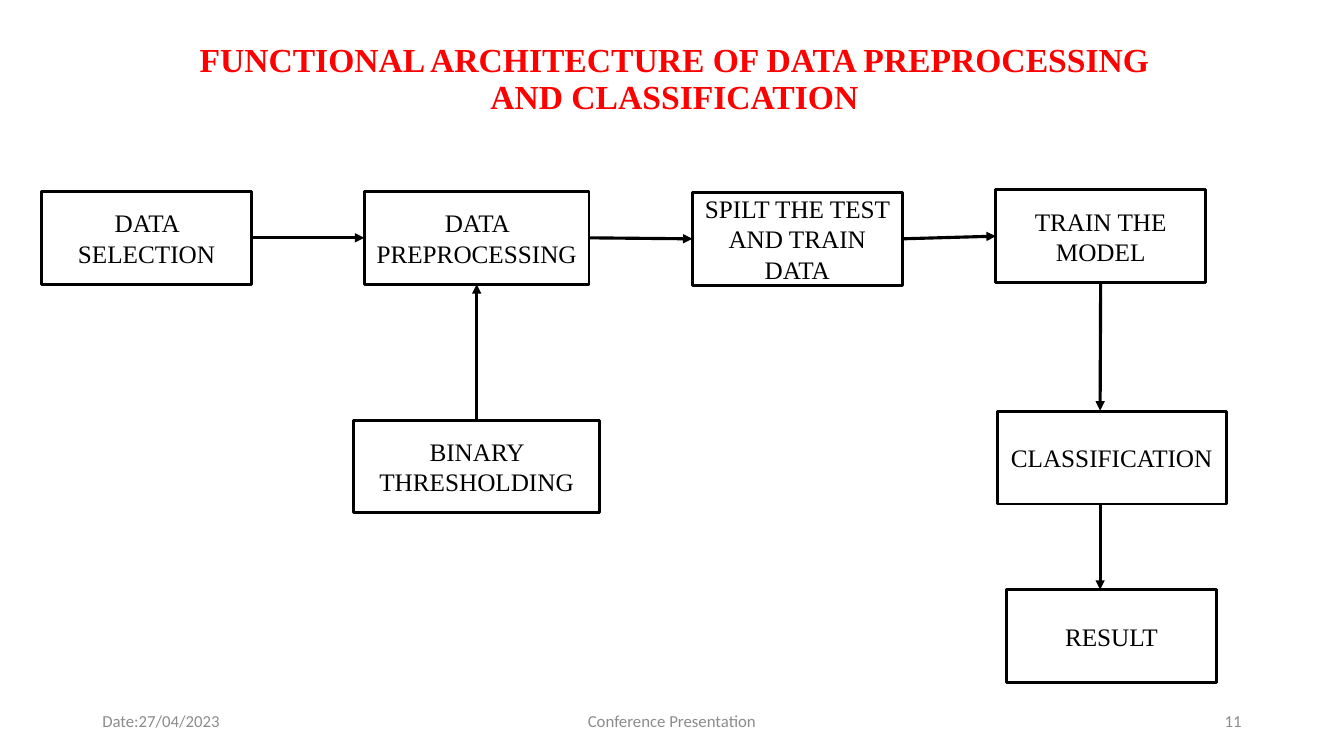
"""Build the slide on the functional architecture of data preprocessing."""
import pptx
import pptx.dml.color
import pptx.enum.shapes
import pptx.enum.text
import pptx.oxml.ns
import pptx.oxml.xmlchemy
import pptx.util
from lxml import etree

Pt = pptx.util.Pt
RGBColor = pptx.dml.color.RGBColor
Align = pptx.enum.text.PP_ALIGN
qn = pptx.oxml.ns.qn

BLACK = RGBColor(0x00, 0x00, 0x00)
WHITE = RGBColor(0xFF, 0xFF, 0xFF)
RED = RGBColor(0xFF, 0x00, 0x00)
GRAY = RGBColor(0x8C, 0x8C, 0x8C)
SERIF = "Times New Roman"
SANS = "Calibri"
TOP, LEFT, BOTTOM, RIGHT = range(4)
STEP_HEIGHT = 66.2


def write(frame, text, font=SERIF, size=18, color=BLACK, bold=False,
          align=Align.CENTER, spacing=1.0):
    frame.word_wrap = True
    frame.vertical_anchor = pptx.enum.text.MSO_ANCHOR.MIDDLE
    paragraph = frame.paragraphs[0]
    paragraph.text = text
    paragraph.alignment = align
    paragraph.line_spacing = spacing
    for run in paragraph.runs:
        run.font.name = font
        run.font.size = Pt(size)
        run.font.bold = bold
        run.font.color.rgb = color


class FlowSlide:
    def __init__(self, presentation):
        self.slide = presentation.slides.add_slide(presentation.slide_layouts[5])
        self.shapes = self.slide.shapes
        self.box_line = Pt(2)
        self.arrow_line = Pt(2.25)

    def title(self, text, left, top, width, height):
        heading = self.shapes.title
        heading.left, heading.top = Pt(left), Pt(top)
        heading.width, heading.height = Pt(width), Pt(height)
        write(heading.text_frame, text, size=24, color=RED, bold=True, spacing=0.9)

    def footer(self, text, left, width, align):
        note = self.shapes.add_textbox(Pt(left), Pt(500.4), Pt(width), Pt(28.8))
        write(note.text_frame, text, font=SANS, size=12, color=GRAY, align=align)

    def step(self, text, left, top, width=149.8):
        box = self.shapes.add_shape(
            pptx.enum.shapes.MSO_SHAPE.RECTANGLE,
            Pt(left), Pt(top), Pt(width), Pt(STEP_HEIGHT))
        box.shadow.inherit = False
        box.fill.solid()
        box.fill.fore_color.rgb = WHITE
        box.line.color.rgb = BLACK
        box.line.width = self.box_line
        write(box.text_frame, text)
        return box

    def arrow(self, start=(0, 0), end=(0, 0), source=None, target=None):
        link = self.shapes.add_connector(
            pptx.enum.shapes.MSO_CONNECTOR.STRAIGHT, *map(Pt, start + end))
        if source:
            link.begin_connect(*source)
        if target:
            link.end_connect(*target)
        link.line.color.rgb = BLACK
        link.line.width = self.arrow_line
        properties = link.element.spPr
        etree.SubElement(properties.find(qn("a:ln")), qn("a:tailEnd"), type="triangle")
        etree.SubElement(properties, qn("a:effectLst"))


def main():
    presentation = pptx.Presentation()
    presentation.slide_width, presentation.slide_height = Pt(960), Pt(540)
    flow = FlowSlide(presentation)
    flow.title("FUNCTIONAL ARCHITECTURE OF DATA PREPROCESSING\vAND CLASSIFICATION",
               67.7, 5, 828, 104.4)

    selection = flow.step("DATA SELECTION", 29.8, 136.8)
    preprocessing = flow.step("DATA PREPROCESSING", 260.2, 136.8, 160.6)
    thresholding = flow.step("BINARY THRESHOLDING", 252.6, 300.2, 175.8)
    split = flow.step("SPILT THE TEST AND TRAIN DATA", 494.6, 137.5)
    training = flow.step("TRAIN THE MODEL", 711.3, 135.6)
    flow.step("CLASSIFICATION", 712.3, 293.8, 163.6)
    flow.step("RESULT", 719, 421.2)

    row = [selection, preprocessing, split, training]
    for before, after in zip(row, row[1:]):
        flow.arrow(source=(before, RIGHT), target=(after, LEFT))
    flow.arrow(source=(thresholding, TOP), target=(preprocessing, BOTTOM))
    trunk = 785.8
    flow.arrow(end=(trunk, 293.3), source=(training, BOTTOM))
    flow.arrow((trunk, 360), (trunk, 421.2))

    flow.footer("Date:27/04/2023", 66, 216, Align.LEFT)
    flow.footer("Conference Presentation", 318, 324, Align.CENTER)
    flow.footer("11", 678, 216, Align.RIGHT)
    presentation.save("out.pptx")


if __name__ == "__main__":
    main()
